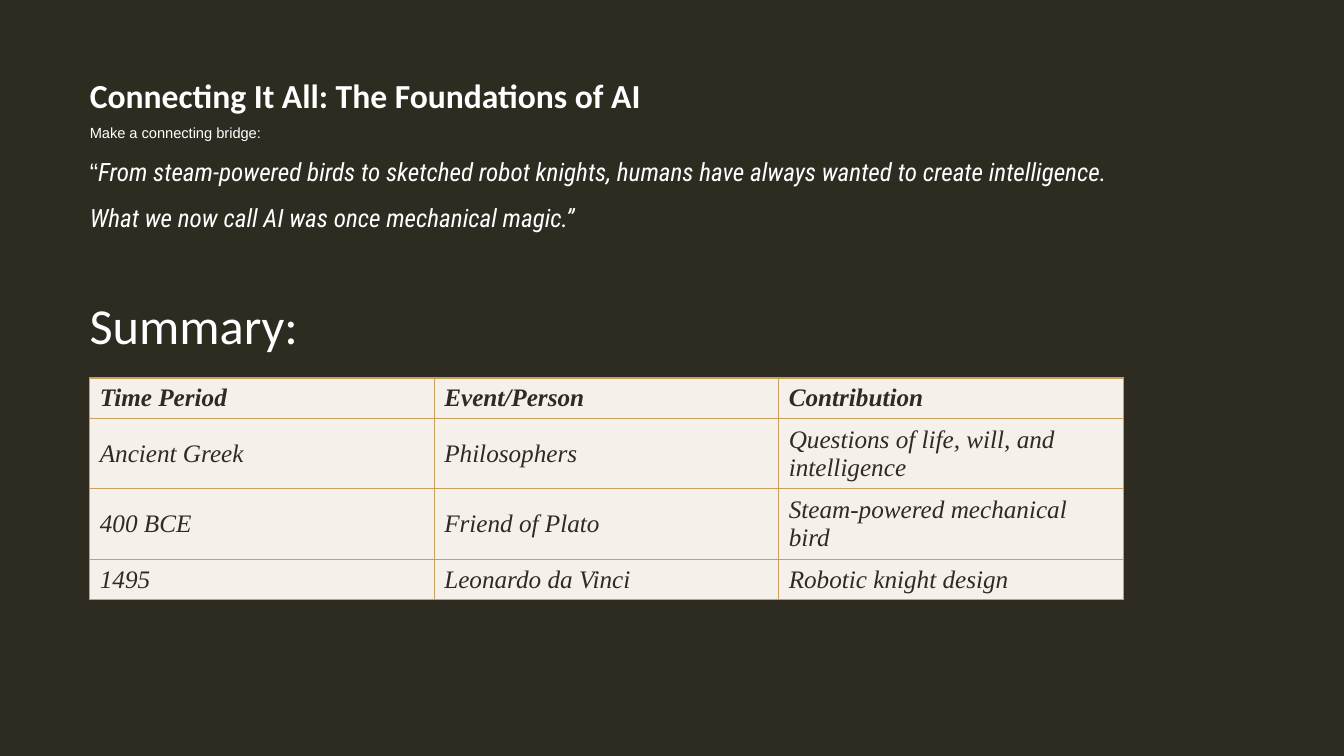
from pptx import Presentation
from pptx.dml.color import RGBColor
from pptx.enum.text import MSO_ANCHOR, MSO_AUTO_SIZE, PP_ALIGN
from pptx.oxml.ns import qn
from pptx.util import Inches, Pt
from lxml.etree import SubElement

OLIVE, CREAM, GOLD, WHITE = "2E2B21", "F5F0EA", "C89F5D", "FFFFFF"

TITLE = "Connecting It All: The Foundations of AI"
PROMPT = "Make a connecting bridge:"
QUOTE_START = "From steam-powered birds to sketched robot knights, humans have always wanted to create intelligence."
QUOTE_END = "What we now call AI was once mechanical magic.”"
SUMMARY = [
    ("Time Period", "Event/Person", "Contribution"),
    ("Ancient Greek", "Philosophers", "Questions of life, will, and intelligence"),
    ("400 BCE", "Friend of Plato", "Steam-powered mechanical bird"),
    ("1495", "Leonardo da Vinci", "Robotic knight design"),
]
ROW_HEIGHTS = (0.4, 0.7, 0.7, 0.4)


def rgb(value):
    return RGBColor.from_string(value)


def set_font(font, name, size, color=WHITE, bold=False, italic=False):
    font.name, font.size = name, Pt(size)
    font.bold, font.italic = bold, italic
    font.color.rgb = rgb(color)


def place(shape, left, top, width, height):
    shape.left, shape.top = Inches(left), Inches(top)
    shape.width, shape.height = Inches(width), Inches(height)


def remove_bullet(paragraph):
    properties = paragraph._p.get_or_add_pPr()
    properties.set("marL", "0")
    properties.set("indent", "0")
    SubElement(properties, qn("a:buNone"))


def outline_cell(cell, color, width=1):
    """Draw the four cell borders; called before the fill, which must follow them."""
    properties = cell._tc.get_or_add_tcPr()
    for side in ("a:lnL", "a:lnR", "a:lnT", "a:lnB"):
        line = SubElement(properties, qn(side), w=str(Pt(width)))
        SubElement(SubElement(line, qn("a:solidFill")), qn("a:srgbClr"), val=color)


class SlideBuilder:
    def __init__(self, presentation):
        self.slide = presentation.slides.add_slide(presentation.slide_layouts[1])
        self.slide.background.fill.solid()
        self.slide.background.fill.fore_color.rgb = rgb(OLIVE)

    def title(self, text, *box):
        title = self.slide.shapes.title
        place(title, *box)
        frame = title.text_frame
        frame.text = text
        frame.auto_size, frame.word_wrap = MSO_AUTO_SIZE.NONE, False
        frame.vertical_anchor = MSO_ANCHOR.BOTTOM
        frame.margin_bottom = 0
        heading = frame.paragraphs[0]
        heading.alignment = PP_ALIGN.LEFT
        heading.line_spacing = 1.5
        set_font(heading.font, "Calibri", 24, bold=True)

    def bridge(self, *box):
        """Fill the body placeholder with the prompt and the two-line quote."""
        body = self.slide.placeholders[1]
        place(body, *box)
        frame = body.text_frame
        frame.auto_size, frame.word_wrap = MSO_AUTO_SIZE.NONE, False
        frame.vertical_anchor = MSO_ANCHOR.TOP
        frame.margin_top = frame.margin_bottom = 0
        prompt = frame.paragraphs[0]
        quote_start, quote_end = frame.add_paragraph(), frame.add_paragraph()
        for paragraph in frame.paragraphs:
            paragraph.line_spacing = 1.5
            paragraph.space_before = Pt(0)
            remove_bullet(paragraph)

        prompt.text = PROMPT
        set_font(prompt.font, "Arial", 10.5)
        opening_mark, opening_words = quote_start.add_run(), quote_start.add_run()
        opening_mark.text, opening_words.text = "“", QUOTE_START
        set_font(opening_mark.font, "Arial", 18)
        set_font(opening_words.font, "Roboto Condensed", 18, italic=True)
        quote_end.text = QUOTE_END
        set_font(quote_end.font, "Roboto Condensed", 18, italic=True)

    def label(self, text, left, top, width, height):
        box = self.slide.shapes.add_textbox(
            Inches(left), Inches(top), Inches(width), Inches(height))
        box.text_frame.word_wrap = True
        box.text_frame.text = text
        set_font(box.text_frame.paragraphs[0].font, "Calibri", 36)

    def table(self, rows, heights, left, top, width):
        table = self.slide.shapes.add_table(
            len(rows), len(rows[0]), Inches(left), Inches(top),
            Inches(width), Inches(sum(heights))).table
        table.horz_banding = False
        for row_index, (texts, height) in enumerate(zip(rows, heights)):
            table.rows[row_index].height = Inches(height)
            for column_index, text in enumerate(texts):
                cell = table.cell(row_index, column_index)
                outline_cell(cell, GOLD)
                cell.fill.solid()
                cell.fill.fore_color.rgb = rgb(CREAM)
                cell.vertical_anchor = MSO_ANCHOR.MIDDLE
                cell.text = text
                set_font(cell.text_frame.paragraphs[0].font, "Times New Roman", 18,
                         OLIVE, bold=row_index == 0, italic=True)


def main():
    presentation = Presentation()
    presentation.slide_width, presentation.slide_height = Inches(13.33), Inches(7.5)
    builder = SlideBuilder(presentation)
    builder.title(TITLE, 0.79, 0.48, 10.75, 0.66)
    builder.bridge(0.79, 1.14, 10.75, 1.18)
    builder.table(SUMMARY, ROW_HEIGHTS, 0.89, 3.75, 10.25)
    builder.label("Summary:", 0.79, 2.87, 5.55, 0.71)
    presentation.save("out.pptx")


if __name__ == "__main__":
    main()
